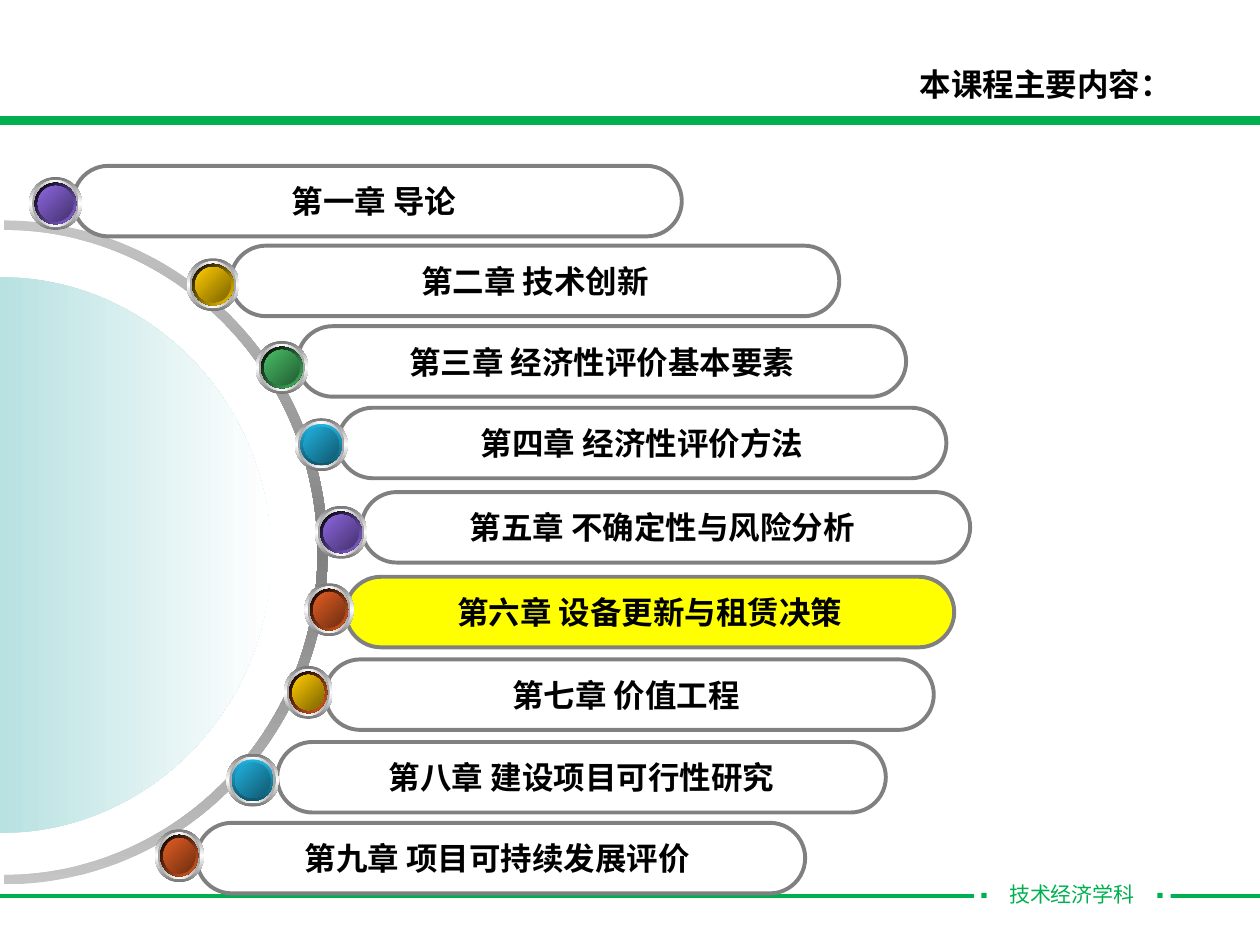
import pptx
import pptx.util
import pptx.dml.color
import pptx.enum.shapes
import pptx.enum.text
import pptx.oxml.ns
from lxml import etree

Pt = pptx.util.Pt
Shape = pptx.enum.shapes.MSO_SHAPE
Align = pptx.enum.text.PP_ALIGN
Anchor = pptx.enum.text.MSO_ANCHOR
qn = pptx.oxml.ns.qn

# Content
TITLE = "本课程主要内容："
FOOT = ("▪", "\t技术经济学科\t", "▪")
SANS = "Noto Sans CJK SC"
COLORS = {
    "green": "00B050", "white": "FFFFFF", "black": "000000",
    "gray": "808080", "mark": "FFFF00", "pale": "C5C5C5",
    "mint": "B8E1E1", "dark": "767676", "mid": "A2A2A2",
}
# Each hue: bright end, deep end
HUES = {
    "purple": ("8D67E1", "45326D"), "gold": ("FFCC00", "7C6300"),
    "leaf": ("48BE67", "235C32"), "blue": ("21B3E1", "10576D"),
    "rust": ("E35E23", "6E2E11"),
}
# Text, pill left and top, button left, top and width, hue, rim hue
ITEMS = [
    ("第一章 导论 ", 41.8, 94.8, 16.6, 101.2, 30.2, "purple", "purple"),
    ("第二章 技术创新", 131.8, 140.4, 106.6, 147.6, 30.2, "gold", "gold"),
    ("第三章 经济性评价基本要素", 170, 186.4, 146, 194.9, 30.2, "leaf", "leaf"),
    ("第四章 经济性评价方法", 193, 233, 168.5, 239, 30.2, "blue", "blue"),
    ("第五章 不确定性与风险分析 ", 206.6, 281.2, 179.8, 289.1, 30.2, "purple", "purple"),
    ("第六章 设备更新与租赁决策", 197.5, 329.6, 174, 333.3, 28.1, "rust", "rust"),
    ("第七章 价值工程 ", 185.8, 376.8, 162.1, 380.6, 28.1, "gold", "rust"),
    ("第八章 建设项目可行性研究", 158.4, 424, 129.3, 430.7, 30.2, "blue", "blue"),
    ("第九章 项目可持续发展评价 ", 112.3, 470.2, 88.4, 473.9, 28.1, "rust", "rust"),
]
CURRENT = 5
PILL_W, PILL_H, BALL_H = 347.8, 40.3, 30.2
BEND = 0.55  # Bézier handle length for a quarter ellipse


def rgb(code):
    return pptx.dml.color.RGBColor.from_string(code)


def blend(shape, codes, angle):
    """Evenly spaced gradient; the angle runs clockwise."""
    shape.fill.gradient()
    shape.fill.gradient_angle = -angle % 360
    stops = shape._element.spPr.find(".//" + qn("a:gsLst"))
    for stop in list(stops):
        stops.remove(stop)
    for i, code in enumerate(codes):
        pos = str(round(100000 * i / (len(codes) - 1)))
        stop = etree.SubElement(stops, qn("a:gs"), pos=pos)
        etree.SubElement(stop, qn("a:srgbClr"), val=code)
    shape.line.fill.background()
    shape.shadow.inherit = False


def add(kind, x, y, w, h):
    shape = slide.shapes.add_shape(kind, Pt(x), Pt(y), Pt(w), Pt(h))
    shape.shadow.inherit = False
    return shape


def set_east(props, face):
    etree.SubElement(props, qn("a:ea"), typeface=face)


def style(para, size, color, latin, asian, bold, align):
    para.alignment = align
    font = para.font
    font.size, font.bold, font.name = Pt(size), bold, latin
    font.color.rgb = rgb(COLORS[color])
    set_east(para._p.pPr.find(qn("a:defRPr")), asian)


def inset(frame, side):
    frame.margin_left = frame.margin_right = Pt(side)
    frame.margin_top = frame.margin_bottom = Pt(3.6)


def half(cx, cy, rx, ry):
    """Bézier points of the right half of an ellipse, top to bottom."""
    units = [(0, -1), (BEND, -1), (1, -BEND), (1, 0), (1, BEND), (BEND, 1), (0, 1)]
    return [(Pt(cx + rx * u), Pt(cy + ry * v)) for u, v in units]


def outline(*arcs):
    """Closed outline whose arcs are joined by straight lines."""
    points = [point for arc in arcs for point in arc]
    form = slide.shapes.build_freeform(*points[0])
    form.add_line_segments(points[1:], close=True)
    shape = form.convert_to_shape()
    lines = list(shape._element.iter(qn("a:lnTo")))
    for i in range(len(arcs)):
        for j in (7 * i, 7 * i + 3):
            curve = etree.Element(qn("a:cubicBezTo"))
            lines[j].addprevious(curve)
            for line in lines[j:j + 3]:
                curve.append(line[0])
                line.getparent().remove(line)
    return shape


deck = pptx.Presentation()
deck.slide_width, deck.slide_height = Pt(720), Pt(540)
slide = deck.slides.add_slide(deck.slide_layouts[5])

# Title
title = slide.shapes.title
title.left, title.top, title.width, title.height = Pt(518.4), Pt(33.8), Pt(158.4), Pt(28.8)
frame = title.text_frame
frame.text = TITLE
frame.word_wrap = False
frame.vertical_anchor = Anchor.MIDDLE
inset(frame, 7.2)
style(frame.paragraphs[0], 18, "black", "Noto Sans CJK JP", "Noto Sans CJK JP", True, Align.LEFT)

# Header bar and footer rule
bar = add(Shape.RECTANGLE, 0, 67.4, 720, 3)
bar.fill.solid()
bar.fill.fore_color.rgb = rgb(COLORS["green"])
rule = slide.shapes.add_connector(
    pptx.enum.shapes.MSO_CONNECTOR.STRAIGHT, Pt(0), Pt(511.9), Pt(720), Pt(511.9))
etree.SubElement(rule._element.spPr, qn("a:effectLst"))
for part in (bar, rule):
    part.line.color.rgb = rgb(COLORS["green"])
    part.line.width = Pt(2)

# Footer label
foot = slide.shapes.add_textbox(Pt(556.6), Pt(500.4), Pt(112.3), Pt(28.1))
foot.fill.solid()
foot.fill.fore_color.rgb = rgb(COLORS["white"])
frame = foot.text_frame
frame.word_wrap = True
inset(frame, 0)
frame.margin_left = Pt(3.6)
para = frame.paragraphs[0]
tabs = etree.SubElement(para._p.get_or_add_pPr(), qn("a:tabLst"))
for stop in (16.4, 100.6):
    etree.SubElement(tabs, qn("a:tab"), pos=str(Pt(stop)), algn="l")
style(para, 12, "green", "Arial", "Arial", False, Align.LEFT)
for text in FOOT:
    run = para.add_run()
    run.text = text
    if text != "▪":
        run.font.name = SANS
        set_east(run._r.rPr, SANS)

# Ring and half disc
ring = outline(half(2.2, 315.7, 185, 189.7), half(2.2, 315.7, 179.3, 184.3)[::-1])
blend(ring, [COLORS[c] for c in ("pale", "gray", "pale")], 90)
disc = outline(half(0, 317.2, 154.8, 158.8))
blend(disc, [COLORS["mint"], COLORS["white"]], 0)

# Chapter pills with their buttons
dark, mid, white = (COLORS[c] for c in ("dark", "mid", "white"))
for i, (text, x, y, left, top, wide, hue, rim) in enumerate(ITEMS):
    pill = add(Shape.ROUNDED_RECTANGLE, x, y, PILL_W, PILL_H)
    pill.adjustments[0] = 0.5
    pill.line.color.rgb = rgb(COLORS["gray"])
    pill.line.width = Pt(2.25)
    if i == CURRENT:
        pill.fill.solid()
        pill.fill.fore_color.rgb = rgb(COLORS["mark"])
    else:
        pill.fill.background()
    frame = pill.text_frame
    frame.text = text
    frame.word_wrap = False
    frame.vertical_anchor = Anchor.MIDDLE
    inset(frame, 7.2)
    style(frame.paragraphs[0], 18, "black", SANS, SANS, True, Align.CENTER)

    edge = (HUES["blue"], 90) if rim == "blue" else ((COLORS["black"], HUES[rim][0]), 45)
    layers = [
        (0, (dark, white, dark), 90), (1.8, (mid, white, mid), 0),
        (3.2, *edge), (5, HUES[hue], 45),
    ]
    for gap, codes, angle in layers:
        ball = add(Shape.OVAL, left + gap, top + gap, wide - 2 * gap, BALL_H - 2 * gap)
        blend(ball, codes, angle)

deck.save("out.pptx")
